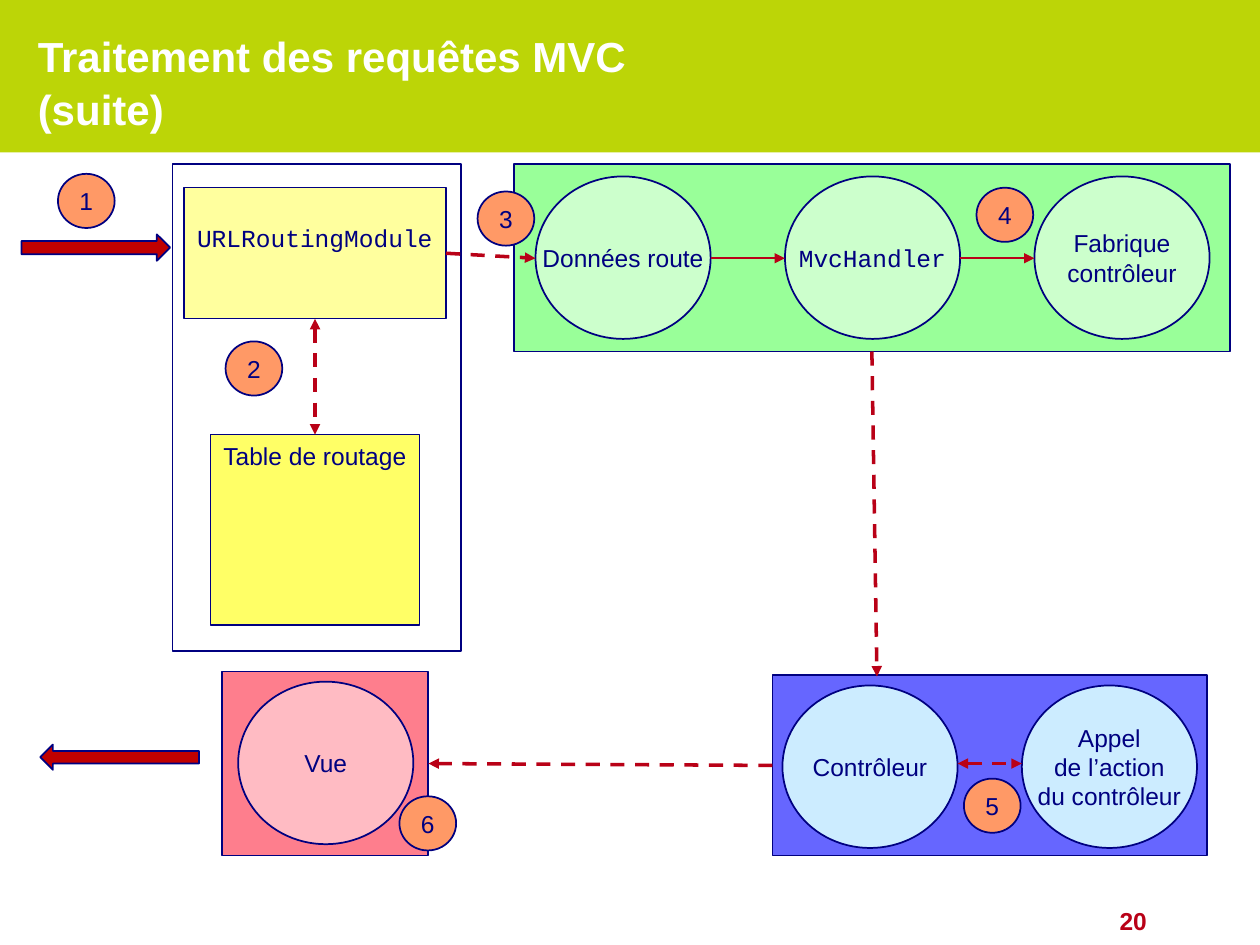
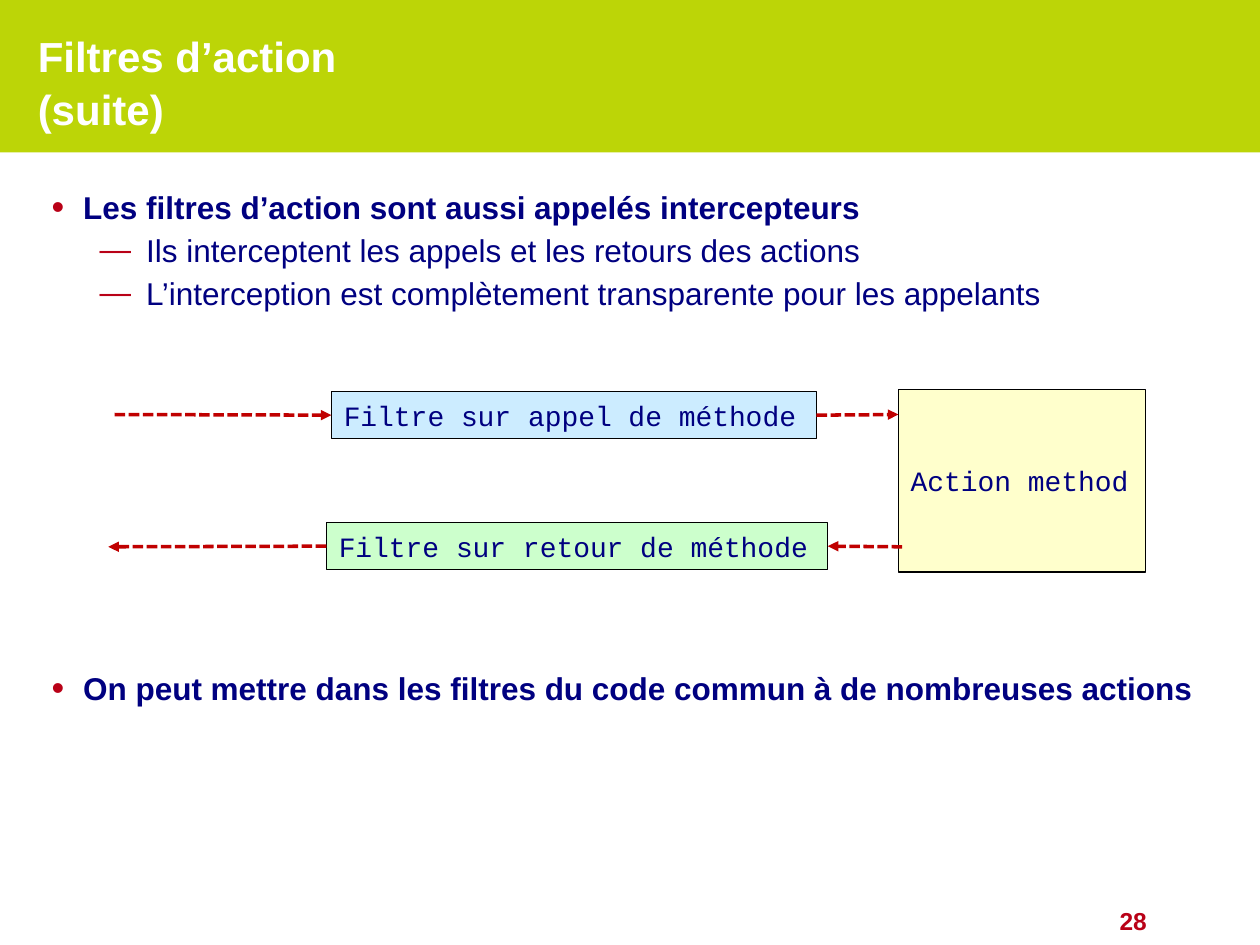
from dataclasses import dataclass

from pptx import Presentation
from pptx import util as u
from pptx.dml.color import RGBColor
from pptx.enum import dml, shapes, text
from pptx.oxml import ns
from lxml import etree

SHAPE = shapes.MSO_SHAPE
ANCHOR = text.MSO_ANCHOR
ALIGN = text.PP_ALIGN
DASH = dml.MSO_LINE.DASH
SHORT_DASH = dml.MSO_LINE.SQUARE_DOT
TOP, LEFT, BOTTOM, RIGHT = range(4)


@dataclass(frozen=True)
class Theme:
    """Colours, fonts and type sizes shared by the slides."""
    lime: str = "BCD507"
    white: str = "FFFFFF"
    black: str = "000000"
    navy: str = "000080"
    red: str = "B90117"
    arrow_red: str = "C00000"
    green: str = "99FF99"
    pale_green: str = "CCFFCC"
    rose: str = "FE7E8D"
    pale_rose: str = "FFBBC3"
    violet: str = "6666FF"
    pale_blue: str = "CCECFF"
    soft_yellow: str = "FFFF9E"
    yellow: str = "FFFF66"
    cream: str = "FFFFCC"
    orange: str = "FF9966"
    sans: str = "Arial"
    mono: str = "Courier New"
    title_size: int = 24
    list_size: int = 18
    code_size: int = 16
    label_size: int = 14


THEME = Theme()


@dataclass(frozen=True)
class Box:
    """A rectangle in inches."""
    left: float
    top: float
    width: float
    height: float

    def inside(self, dx, dy, width, height):
        """Return a box offset from this one's top left corner."""
        return Box(self.left + dx, self.top + dy, width, height)

    def lengths(self):
        """Return the four lengths in slide units."""
        return [u.Inches(v) for v in (self.left, self.top, self.width, self.height)]


CIRCLE = (1.39, 1.29)
BADGE = (0.45, 0.43)


def rgb(colour):
    """Return a colour object for a hexadecimal colour."""
    return RGBColor.from_string(colour)


def format_runs(paragraph, size, colour=THEME.navy, font=THEME.sans, bold=False):
    """Apply one type style to every run of a paragraph."""
    for run in paragraph.runs:
        run.font.size = u.Pt(size)
        run.font.name = font
        run.font.bold = bold
        run.font.color.rgb = rgb(colour)


def add_figure(slide, kind, box, fill, outline=THEME.navy, weight=1):
    """Add a flat preset shape."""
    figure = slide.shapes.add_shape(kind, *box.lengths())
    figure.shadow.inherit = False
    figure.fill.solid()
    figure.fill.fore_color.rgb = rgb(fill)
    if outline:
        figure.line.color.rgb = rgb(outline)
        figure.line.width = u.Pt(weight)
    else:
        figure.line.fill.background()
    return figure


def write_label(figure, words, size=THEME.label_size, font=THEME.sans,
                anchor=ANCHOR.MIDDLE, align=ALIGN.CENTER, top_margin=0.05):
    """Write a label that does not wrap inside a shape."""
    frame = figure.text_frame
    frame.text = words
    frame.word_wrap = False
    frame.vertical_anchor = anchor
    frame.margin_top = u.Inches(top_margin)
    frame.paragraphs[0].alignment = align
    format_runs(frame.paragraphs[0], size, font=font)
    return figure


def add_circle(slide, box, fill, words, font=THEME.sans):
    """Add a labelled ellipse."""
    return write_label(add_figure(slide, SHAPE.OVAL, box, fill), words, font=font)


def add_badge(slide, number, left, top):
    """Add a numbered step marker."""
    add_circle(slide, Box(left, top, *BADGE), THEME.orange, str(number))


def add_arrow(slide, start, end, colour=THEME.red, weight=2, dash=DASH, both=False):
    """Draw an arrow between points or (shape, side) joints."""
    joints = [isinstance(tip[0], (int, float)) for tip in (start, end)]
    points = [tip if free else (0, 0) for tip, free in zip((start, end), joints)]
    arrow = slide.shapes.add_connector(
        shapes.MSO_CONNECTOR.STRAIGHT,
        *(u.Inches(v) for point in points for v in point))
    if not joints[0]:
        arrow.begin_connect(*start)
    if not joints[1]:
        arrow.end_connect(*end)
    arrow.line.color.rgb = rgb(colour)
    arrow.line.width = u.Pt(weight)
    if dash:
        arrow.line.dash_style = dash
    properties = arrow.element.spPr
    stroke = properties.find(ns.qn("a:ln"))
    for tag in ("a:headEnd", "a:tailEnd") if both else ("a:tailEnd",):
        etree.SubElement(stroke, ns.qn(tag), type="triangle")
    etree.SubElement(properties, ns.qn("a:effectLst"))


def set_up_master(deck, slide):
    """Give the master its lime background and white page area."""
    master = deck.slide_master
    master.background.fill.solid()
    master.background.fill.fore_color.rgb = rgb(THEME.lime)
    page = add_figure(slide, SHAPE.RECTANGLE, Box(0, 1.21, 10, 6.29), THEME.white, None)
    master.shapes.element.insert(2, page.element)


def place(holder, box):
    """Move a placeholder and fix its text to the top."""
    holder.left, holder.top, holder.width, holder.height = box.lengths()
    frame = holder.text_frame
    frame.word_wrap = True
    frame.auto_size = text.MSO_AUTO_SIZE.NONE
    frame.vertical_anchor = ANCHOR.TOP
    return frame


def add_heading(slide, words, number):
    """Fill in the title and the page number."""
    frame = place(slide.shapes.title, Box(0.2, 0.18, 8.52, 0.79))
    frame.text = words
    heading = frame.paragraphs[0]
    heading.alignment = ALIGN.LEFT
    heading.line_spacing = 1.04
    format_runs(heading, THEME.title_size, THEME.white, bold=True)
    footer = slide.shapes.add_textbox(*Box(7.62, 7.14, 1.58, 0.33).lengths())
    footer.text_frame.word_wrap = True
    page_number = footer.text_frame.paragraphs[0]
    page_number.text = str(number)
    page_number.alignment = ALIGN.RIGHT
    format_runs(page_number, THEME.label_size, THEME.red, bold=True)


def add_handlers(slide, box):
    """Draw the chain from route data to controller factory."""
    band = add_figure(slide, SHAPE.RECTANGLE, box, THEME.green)
    step = 1.98
    steps = (("Données route", THEME.sans), ("MvcHandler", THEME.mono),
             ("Fabrique\vcontrôleur", THEME.sans))
    middle = box.top + 0.75
    for index, (words, font) in enumerate(steps):
        spot = box.inside(0.17 + index * step, 0.1, *CIRCLE)
        add_circle(slide, spot, THEME.pale_green, words, font)
        if index:
            add_arrow(slide, (spot.left - step + spot.width, middle),
                      (spot.left, middle), weight=1, dash=None)
    return band


def add_routing(slide, box):
    """Draw the routing module above its table."""
    add_figure(slide, SHAPE.RECTANGLE, box, THEME.white)
    module = add_figure(slide, SHAPE.RECTANGLE, box.inside(0.09, 0.19, 2.08, 1.04),
                        THEME.soft_yellow, weight=0.75)
    write_label(module, "URLRoutingModule", font=THEME.mono,
                anchor=ANCHOR.TOP, top_margin=0.28)
    table = add_figure(slide, SHAPE.RECTANGLE, box.inside(0.3, 2.15, 1.66, 1.51),
                       THEME.yellow, weight=0.75)
    write_label(table, "Table de routage", anchor=ANCHOR.TOP)
    add_arrow(slide, (module, BOTTOM), (table, TOP), both=True)
    return module


def add_controller(slide, box):
    """Draw the controller and its action call."""
    area = add_figure(slide, SHAPE.RECTANGLE, box, THEME.violet)
    for dx, words in ((0.08, "Contrôleur"), (1.98, "Appel\vde l’action\vdu contrôleur")):
        add_circle(slide, box.inside(dx, 0.08, *CIRCLE), THEME.pale_blue, words)
    middle = box.top + 0.7
    add_arrow(slide, (box.left + 1.47, middle), (box.left + 1.98, middle), both=True)
    return area


def add_view(slide, box):
    """Draw the view."""
    area = add_figure(slide, SHAPE.RECTANGLE, box, THEME.rose)
    add_circle(slide, box.inside(0.13, 0.08, *CIRCLE), THEME.pale_rose, "Vue")
    return area


def build_request_slide(slide):
    """Show how a request travels through the framework."""
    add_heading(slide, "Traitement des requêtes MVC\v(suite)", 20)
    handlers = add_handlers(slide, Box(4.08, 1.3, 5.68, 1.49))
    view = add_view(slide, Box(1.76, 5.33, 1.64, 1.46))
    controller = add_controller(slide, Box(6.13, 5.36, 3.45, 1.43))
    module = add_routing(slide, Box(1.37, 1.3, 2.29, 3.87))
    add_figure(slide, SHAPE.RIGHT_ARROW, Box(0.17, 1.86, 1.18, 0.21), THEME.arrow_red)
    add_figure(slide, SHAPE.LEFT_ARROW, Box(0.32, 5.91, 1.26, 0.2), THEME.arrow_red)
    add_arrow(slide, (module, RIGHT), (4.25, 2.05))
    add_arrow(slide, (handlers, BOTTOM), (6.96, 5.37))
    add_arrow(slide, (controller, LEFT), (view, RIGHT))
    badge_spots = ((0.46, 1.38), (1.79, 2.71), (3.79, 1.52),
                   (7.75, 1.49), (7.65, 6.18), (3.17, 6.32))
    for number, spot in enumerate(badge_spots, 1):
        add_badge(slide, number, *spot)


def add_bullet(paragraph, words, sub=False, before=0):
    """Write one list item with its own bullet."""
    paragraph.text = words
    paragraph.level = int(sub)
    paragraph.space_before = u.Pt(before)
    paragraph.alignment = ALIGN.LEFT
    properties = paragraph._p.get_or_add_pPr()
    margin, indent = (0.75, -0.37) if sub else (0.25, -0.25)
    properties.set("marL", str(u.Inches(margin)))
    properties.set("indent", str(u.Inches(indent)))
    tint = etree.SubElement(properties, ns.qn("a:buClr"))
    etree.SubElement(tint, ns.qn("a:srgbClr"), val=THEME.red)
    etree.SubElement(properties, ns.qn("a:buSzPct"), val="100000" if sub else "115000")
    etree.SubElement(properties, ns.qn("a:buFont"), typeface=THEME.sans)
    etree.SubElement(properties, ns.qn("a:buChar"), char="—" if sub else "•")
    format_runs(paragraph, THEME.list_size, bold=not sub)


def add_filter_list(slide, box):
    """Write the list, leaving room for the diagram."""
    frame = place(slide.placeholders[1], box)
    items = (
        ("Les filtres d’action sont aussi appelés intercepteurs", False, 0),
        ("Ils interceptent les appels et les retours des actions", True, 3),
        ("L’interception est complètement transparente pour les appelants", True, 3),
        ("On peut mettre dans les filtres du code commun à de nombreuses actions", False, 204),
    )
    for index, item in enumerate(items):
        add_bullet(frame.add_paragraph() if index else frame.paragraphs[0], *item)


def add_filter_diagram(slide, box):
    """Draw the filters around the action method."""
    parts = (
        ("Action method", THEME.cream, box.inside(6.27, 0, 1.96, 1.45)),
        ("Filtre sur appel de méthode", THEME.pale_blue, box.inside(1.77, 0.02, 3.85, 0.37)),
        ("Filtre sur retour de méthode", THEME.pale_green, box.inside(1.73, 1.06, 3.98, 0.37)),
    )
    action, on_call, on_return = (
        write_label(add_figure(slide, SHAPE.RECTANGLE, spot, fill, THEME.black, 0.75),
                    words, THEME.code_size, THEME.mono, align=ALIGN.LEFT)
        for words, fill, spot in parts)
    call_y, return_y = box.top + 0.2, box.top + 1.25
    action_left = box.left + 6.27
    for start, end in (((box.left + 0.05, call_y), (on_call, LEFT)),
                       ((on_call, RIGHT), (action_left, call_y)),
                       ((action_left + 0.03, return_y), (on_return, RIGHT)),
                       ((on_return, LEFT), (box.left, return_y))):
        add_arrow(slide, start, end, THEME.arrow_red, dash=SHORT_DASH)


def build_filter_slide(slide):
    """Explain action filters."""
    add_heading(slide, "Filtres d’action\v(suite)", 28)
    add_filter_list(slide, Box(0.31, 1.44, 9.4, 4.21))
    add_filter_diagram(slide, Box(0.86, 3.09, 8.23, 1.45))


def main():
    """Build and save the deck."""
    deck = Presentation()
    deck.slide_width, deck.slide_height = u.Inches(10), u.Inches(7.5)
    request_slide = deck.slides.add_slide(deck.slide_layouts[5])
    set_up_master(deck, request_slide)
    build_request_slide(request_slide)
    build_filter_slide(deck.slides.add_slide(deck.slide_layouts[1]))
    deck.save("out.pptx")


if __name__ == "__main__":
    main()
